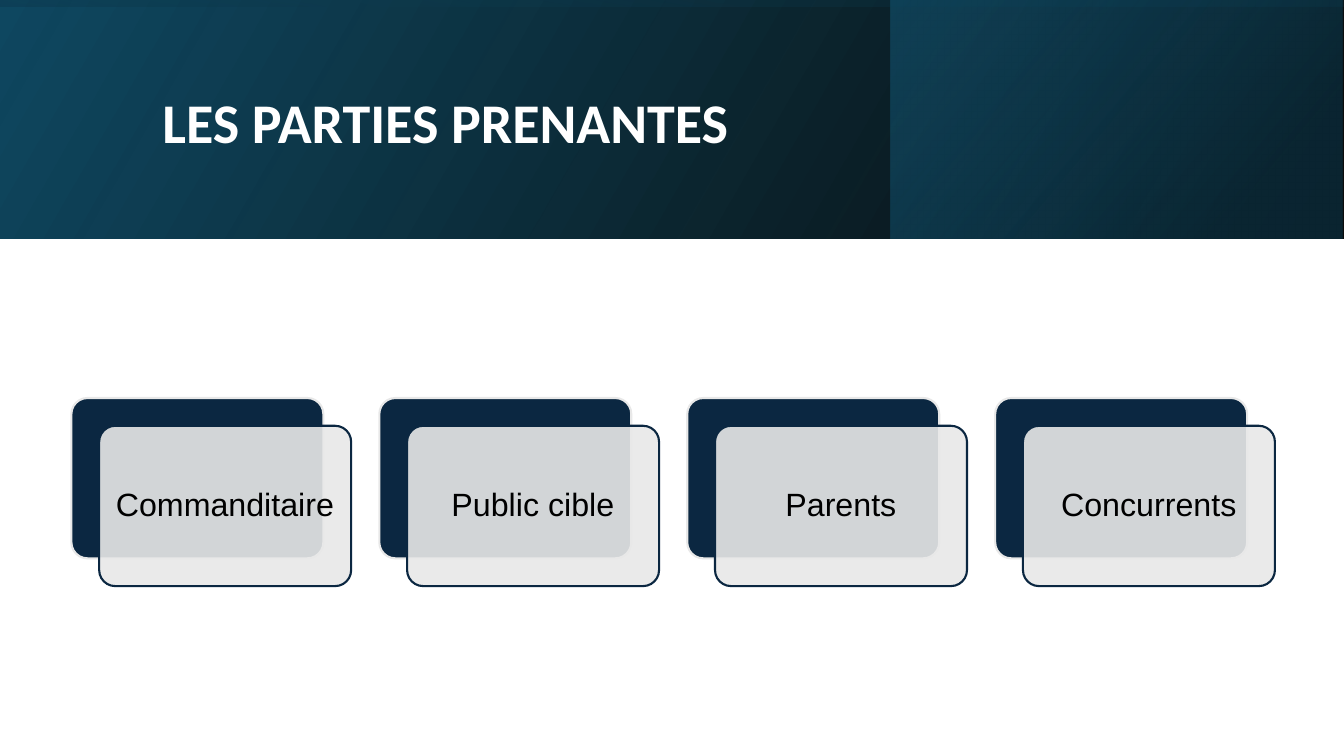
from lxml import etree
from pptx import Presentation
from pptx.dml.color import RGBColor
from pptx.enum.shapes import MSO_SHAPE
from pptx.enum.text import MSO_ANCHOR, MSO_AUTO_SIZE, PP_ALIGN
from pptx.oxml.ns import qn
from pptx.util import Cm, Pt

RECTANGLE = MSO_SHAPE.RECTANGLE
ROUNDED = MSO_SHAPE.ROUNDED_RECTANGLE
MIDDLE = MSO_ANCHOR.MIDDLE
NO_AUTOFIT = MSO_AUTO_SIZE.NONE
LEFT = PP_ALIGN.LEFT
CENTER = PP_ALIGN.CENTER

COLORS = {
    "white": "FFFFFF",
    "black": "000000",
    "petrol": "0F4861",
    "deep_blue": "0A3041",
    "teal": "156082",
    "navy": "0B2741",
    "grey": "E8E8E8",
}
SLIDE_WIDTH, SLIDE_HEIGHT = 33.87, 19.05
BANNER_HEIGHT = 6.02
SIDE_LEFT, SIDE_WIDTH = 22.45, 11.39
CARD_LEFT, CARD_TOP, CARD_PITCH = 1.8, 10.03, 7.76
CARD_WIDTH, CARD_HEIGHT, CARD_OFFSET = 6.35, 4.04, 0.7
STAKEHOLDERS = ["Commanditaire", "Public cible", "Parents", "Concurrents"]


class SlideBuilder:
    title_font = "Calibri"
    label_font = "Arial"

    def __init__(self, presentation):
        self.slide = presentation.slides.add_slide(presentation.slide_layouts[5])

    def color(self, name):
        return RGBColor.from_string(COLORS[name])

    def set_alpha(self, color_element, percent):
        etree.SubElement(color_element, qn("a:alpha")).set("val", str(percent * 1000))

    def gradient_band(self, left, top, width, height, stops, angle, rotation=0):
        shape = self.slide.shapes.add_shape(
            RECTANGLE, Cm(left), Cm(top), Cm(width), Cm(height))
        shape.shadow.inherit = False
        shape.line.fill.background()
        shape.rotation = rotation
        properties = shape._element.spPr
        properties.find(qn("a:xfrm")).set("flipH", "1")
        shape.fill.gradient()
        shape.fill.gradient_angle = angle
        stop_list = properties.find(qn("a:gradFill")).find(qn("a:gsLst"))
        for old_stop in list(stop_list):
            stop_list.remove(old_stop)
        for position, name, alpha in stops:
            stop = etree.SubElement(stop_list, qn("a:gs"))
            stop.set("pos", str(position * 1000))
            color = etree.SubElement(stop, qn("a:srgbClr"))
            color.set("val", COLORS[name])
            self.set_alpha(color, alpha)

    def set_text(self, shape, text, font, size, color, alignment, bold=False):
        frame = shape.text_frame
        frame.text = text
        frame.word_wrap = True
        frame.auto_size = NO_AUTOFIT
        frame.vertical_anchor = MIDDLE
        paragraph = frame.paragraphs[0]
        paragraph.alignment = alignment
        paragraph.line_spacing = 0.9
        run_font = paragraph.runs[0].font
        run_font.name = font
        run_font.size = Pt(size)
        run_font.bold = bold
        run_font.color.rgb = self.color(color)

    def title(self, text, left, top, width, height):
        title = self.slide.shapes.title
        title.left, title.top = Cm(left), Cm(top)
        title.width, title.height = Cm(width), Cm(height)
        self.set_text(title, text, self.title_font, 40, "white", LEFT, True)
        self.slide.shapes._spTree.append(title._element)

    def panel(self, group, left, top, fill, line):
        shape = group.shapes.add_shape(
            ROUNDED, Cm(left), Cm(top), Cm(CARD_WIDTH), Cm(CARD_HEIGHT))
        shape.adjustments[0] = 0.1
        shape.shadow.inherit = False
        shape.fill.solid()
        shape.fill.fore_color.rgb = self.color(fill)
        shape.line.color.rgb = self.color(line)
        shape.line.width = Pt(1.5)
        return shape

    def card(self, group, left, top, text):
        self.panel(group, left, top, "navy", "grey")
        front = self.panel(
            group, left + CARD_OFFSET, top + CARD_OFFSET, "grey", "navy")
        fill = front._element.spPr.find(qn("a:solidFill"))
        self.set_alpha(fill.find(qn("a:srgbClr")), 90)
        self.set_text(front, text, self.label_font, 23, "black", CENTER)

    def card_row(self, labels):
        group = self.slide.shapes.add_group_shape()
        for index, label in enumerate(labels):
            self.card(group, CARD_LEFT + index * CARD_PITCH, CARD_TOP, label)


def main():
    presentation = Presentation()
    presentation.slide_width = Cm(SLIDE_WIDTH)
    presentation.slide_height = Cm(SLIDE_HEIGHT)
    builder = SlideBuilder(presentation)
    builder.gradient_band(
        0, 0, SLIDE_WIDTH, BANNER_HEIGHT,
        [(0, "black", 96), (100, "petrol", 100)], 30)
    builder.gradient_band(
        SIDE_LEFT, 0, SIDE_WIDTH, BANNER_HEIGHT,
        [(0, "deep_blue", 68), (19, "deep_blue", 68), (100, "teal", 48)], 40)
    inset = (SLIDE_WIDTH - BANNER_HEIGHT) / 2
    builder.gradient_band(
        inset, -inset, BANNER_HEIGHT, SLIDE_WIDTH,
        [(0, "petrol", 16), (23, "petrol", 16), (99, "black", 45), (100, "black", 45)],
        10, 270)
    builder.title("LES PARTIES PRENANTES", 3.84, 0.97, 27, 4.37)
    builder.card_row(STAKEHOLDERS)
    presentation.save("out.pptx")


if __name__ == "__main__":
    main()
